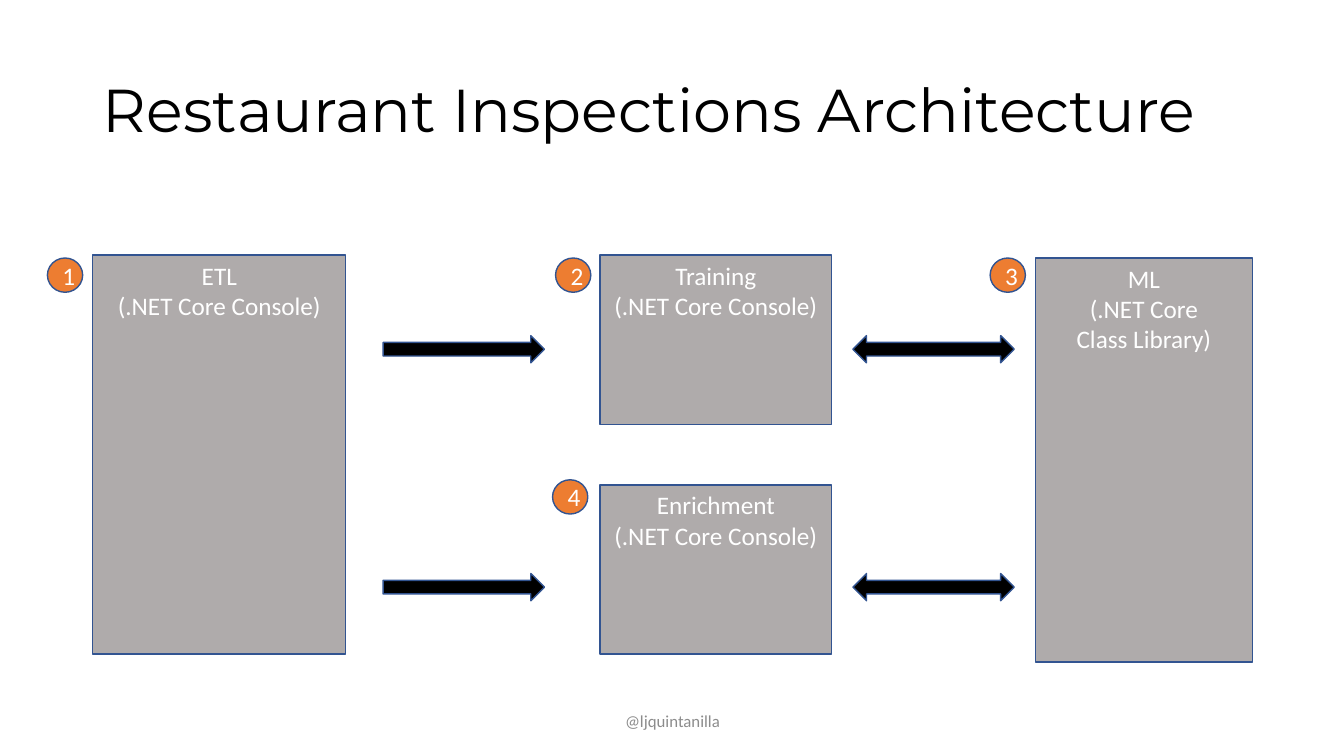
"""Build the Restaurant Inspections Architecture slide."""
from dataclasses import dataclass

from pptx import Presentation
from pptx.dml.color import RGBColor
from pptx.enum.shapes import MSO_SHAPE as Shape
from pptx.enum.text import MSO_ANCHOR as Anchor, PP_ALIGN as Align
from pptx.util import Inches, Pt


@dataclass(frozen=True)
class Theme:
    heading_font: str = "Montserrat"
    body_font: str = "Calibri"
    heading_size: float = 43.2
    body_size: float = 18
    footer_size: float = 12
    ink: str = "000000"
    light: str = "FFFFFF"
    muted: str = "8C8C8C"
    component: str = "AFABAB"
    outline: str = "325491"
    step: str = "ED7D31"


class SlideBuilder:
    def __init__(self, slide, theme):
        self.slide = slide
        self.theme = theme

    def set_text(self, target, lines, font, size, color, anchor, align):
        frame = target.text_frame
        frame.word_wrap = True
        frame.vertical_anchor = anchor
        frame.text = "\n".join(lines)
        for paragraph in frame.paragraphs:
            paragraph.alignment = align
            paragraph.font.name = font
            paragraph.font.size = Pt(size)
            paragraph.font.color.rgb = RGBColor.from_string(color)

    def title(self, text, left, top, width, height):
        heading = self.slide.shapes.title
        heading.left, heading.top = Inches(left), Inches(top)
        heading.width, heading.height = Inches(width), Inches(height)
        self.set_text(heading, [text], self.theme.heading_font, self.theme.heading_size,
                      self.theme.ink, Anchor.MIDDLE, Align.LEFT)
        heading.text_frame.paragraphs[0].line_spacing = 0.9

    def footer(self, text, left, top, width, height):
        handle = self.slide.shapes.add_textbox(
            Inches(left), Inches(top), Inches(width), Inches(height))
        self.set_text(handle, [text], self.theme.body_font, self.theme.footer_size,
                      self.theme.muted, Anchor.MIDDLE, Align.CENTER)

    def outlined(self, kind, fill, left, top, width, height):
        figure = self.slide.shapes.add_shape(
            kind, Inches(left), Inches(top), Inches(width), Inches(height))
        figure.shadow.inherit = False
        figure.fill.solid()
        figure.fill.fore_color.rgb = RGBColor.from_string(fill)
        figure.line.color.rgb = RGBColor.from_string(self.theme.outline)
        figure.line.width = Pt(1)
        return figure

    def component(self, lines, left, top, width, height):
        block = self.outlined(Shape.RECTANGLE, self.theme.component, left, top, width, height)
        self.set_text(block, lines, self.theme.body_font, self.theme.body_size,
                      self.theme.light, Anchor.TOP, Align.CENTER)

    def step(self, number, left, top):
        badge = self.outlined(Shape.OVAL, self.theme.step, left, top, 0.35, 0.34)
        self.set_text(badge, [str(number)], self.theme.body_font, self.theme.body_size,
                      self.theme.light, Anchor.MIDDLE, Align.CENTER)

    def arrow(self, kind, left, top):
        self.outlined(kind, self.theme.ink, left, top, 1.6, 0.27)


def main():
    deck = Presentation()
    deck.slide_width, deck.slide_height = Inches(13.33), Inches(7.5)
    builder = SlideBuilder(deck.slides.add_slide(deck.slide_layouts[5]), Theme())

    builder.title("Restaurant Inspections Architecture", 0.92, 0.4, 11.5, 1.45)
    builder.footer("@ljquintanilla", 4.42, 6.95, 4.5, 0.4)

    console = "(.NET Core Console)"
    builder.component(["Training", console], 5.95, 2.53, 2.3, 1.68)
    builder.component(["ML", "(.NET Core", "Class Library)"], 10.27, 2.56, 2.15, 4.01)
    builder.component(["Enrichment", console], 5.95, 4.81, 2.3, 1.68)
    builder.component(["ETL", console], 0.92, 2.53, 2.51, 3.96)

    for kind, left in ((Shape.RIGHT_ARROW, 3.8), (Shape.LEFT_RIGHT_ARROW, 8.46)):
        for top in (3.33, 5.69):
            builder.arrow(kind, left, top)

    step_corners = [(0.47, 2.56), (5.51, 2.56), (9.82, 2.56), (5.48, 4.76)]
    for number, (left, top) in enumerate(step_corners, start=1):
        builder.step(number, left, top)

    deck.save("out.pptx")


if __name__ == "__main__":
    main()
